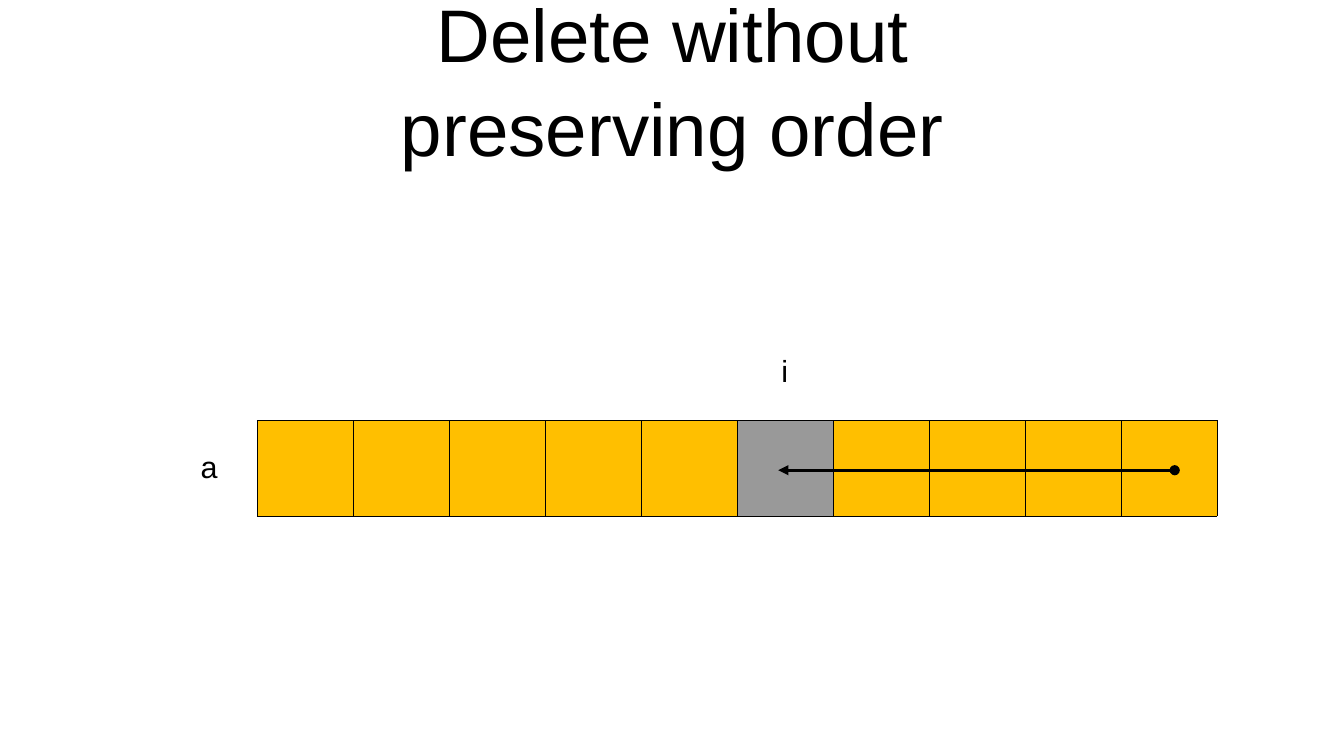
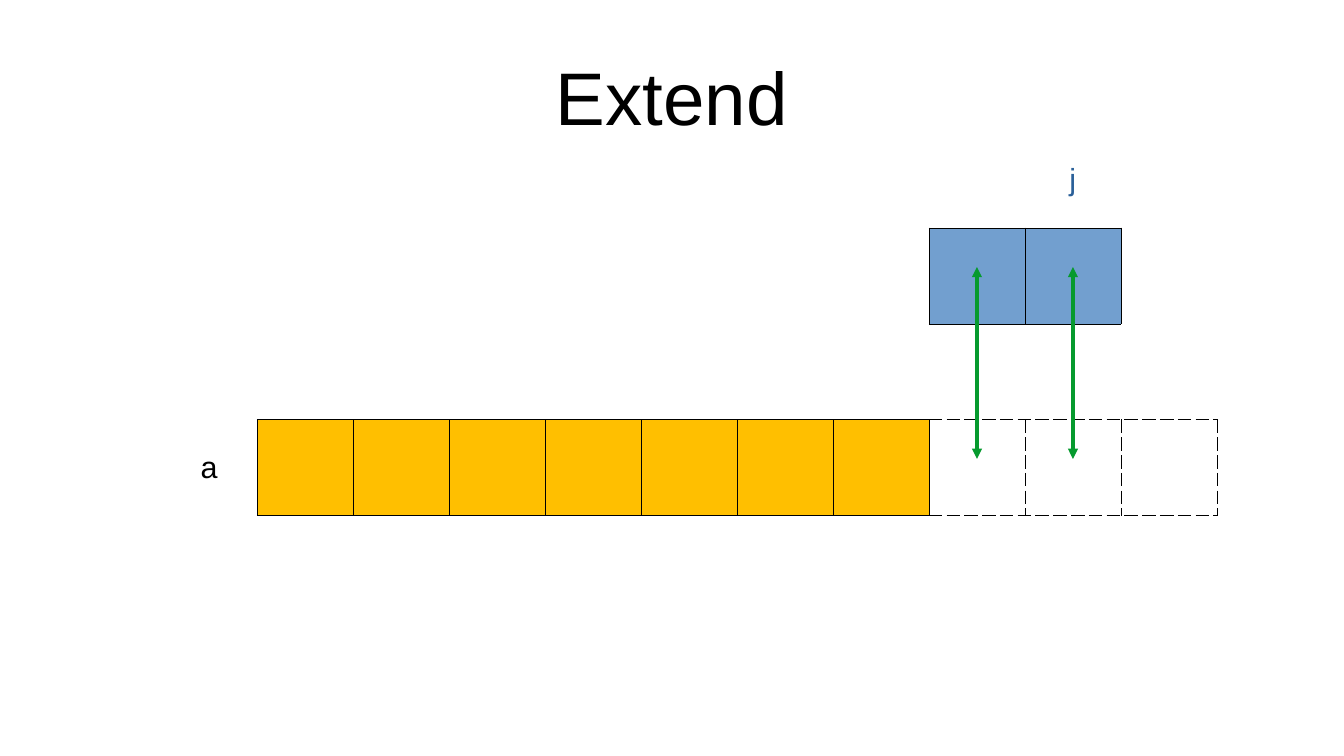
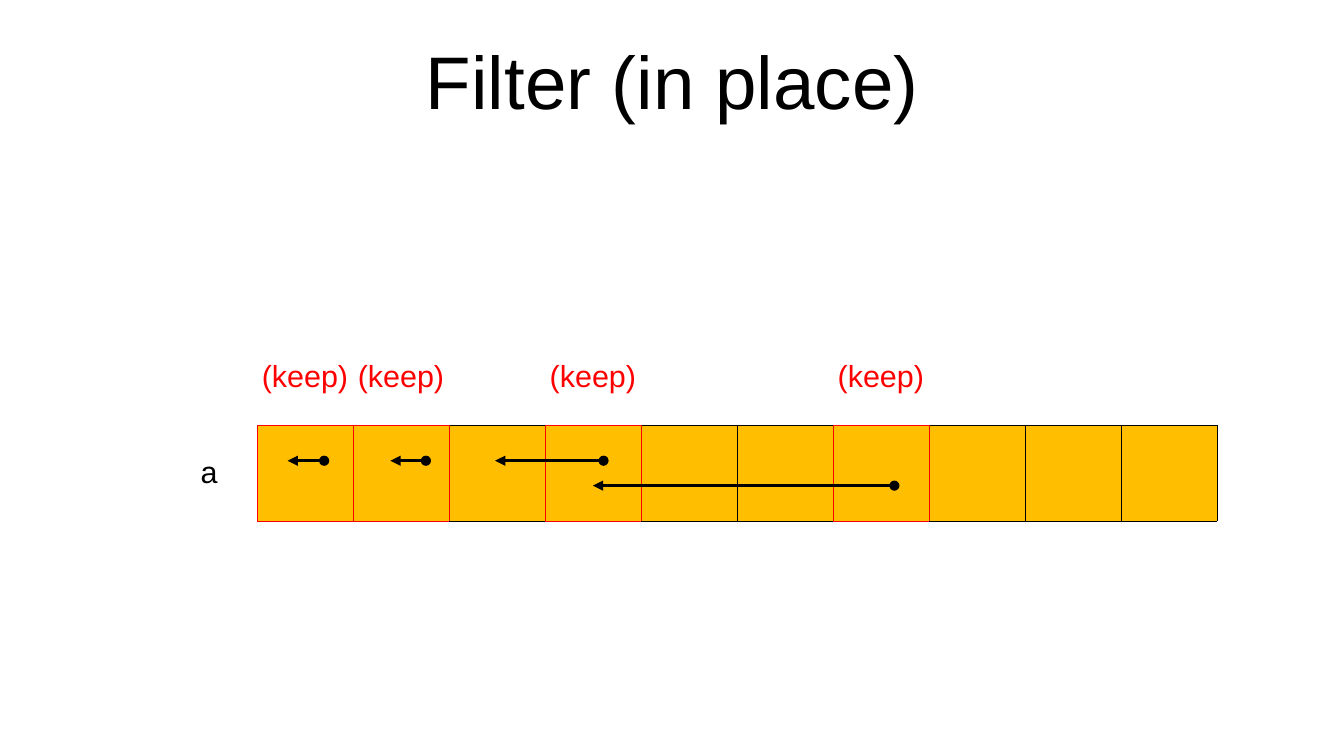
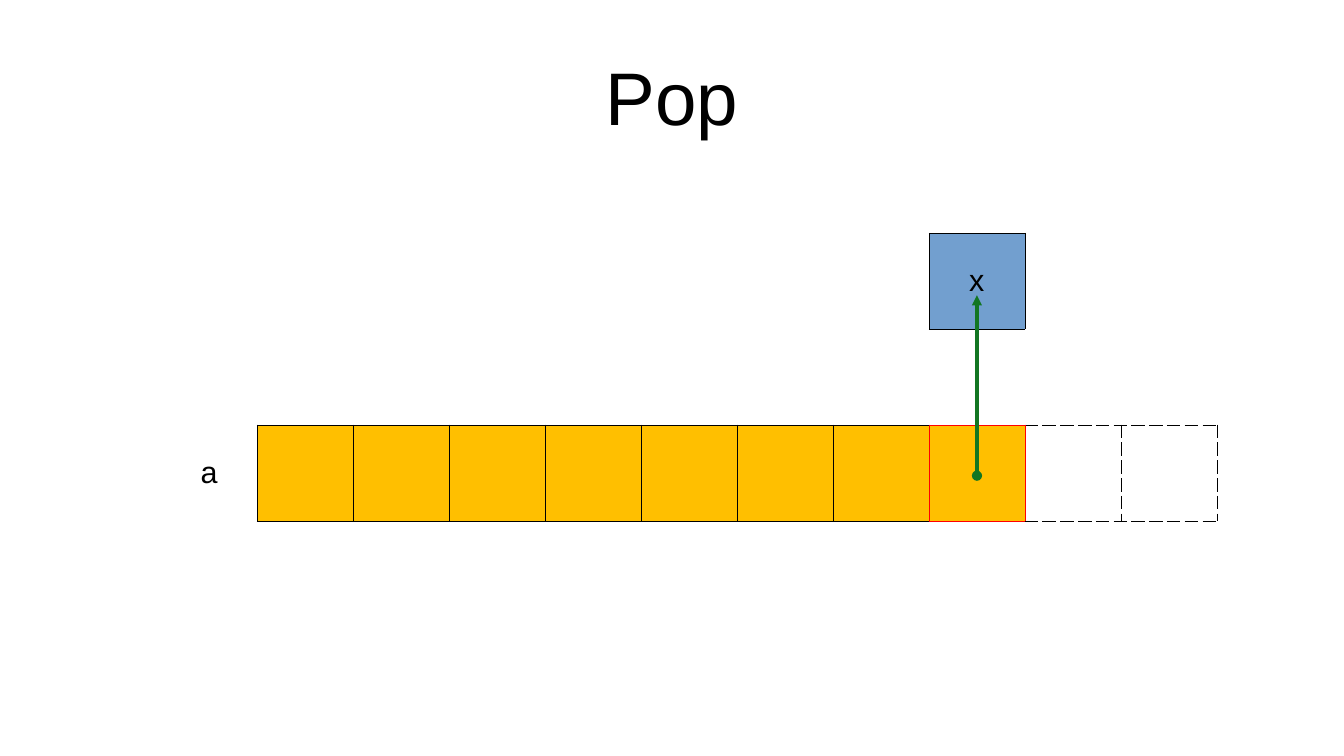
from lxml.etree import SubElement
from pptx import Presentation
from pptx.dml.color import RGBColor
from pptx.enum.shapes import MSO_CONNECTOR
from pptx.enum.text import MSO_ANCHOR, PP_ALIGN
from pptx.oxml.ns import qn
from pptx.util import Inches, Pt


class Theme:
    font = "Arial"
    title_size, label_size = 44, 18
    black, red, blue_text = "000000", "FF0000", "2A6099"
    amber, grey, blue = "FFBF00", "999999", "729FCF"
    green, dark_green = "069A2E", "127622"
    no_grid_style = "{2D5ABB26-0587-4C30-8999-92F81FD0307C}"


# Grid: the slide is 14 columns wide, and array cells are square
WIDTH, HEIGHT = Inches(11.02), Inches(6.2)
COLUMNS = 11
CELL = WIDTH // 14
GRID_LEFT = Inches(1.32)

# Pens: colour, width in points, dash
SOLID = (Theme.black, 0.06, "solid")
DASHED = (Theme.black, 0.06, "dash")
THIN_RED = (Theme.red, 0.11, "solid")
THICK_RED = (Theme.red, 0.28, "solid")

# Cell kinds: fill, then the pen of each drawn side
CELL_KINDS = {
    ".": (None, {}),
    "#": (Theme.amber, dict.fromkeys("LRTB", SOLID)),
    "[": (Theme.amber, dict.fromkeys("LTB", SOLID)),
    "]": (Theme.amber, dict.fromkeys("RTB", SOLID)),
    "=": (Theme.amber, dict.fromkeys("TB", SOLID)),
    "g": (Theme.grey, dict.fromkeys("TB", SOLID)),
    "|": (None, {"R": SOLID}),
    "b": (Theme.blue, dict.fromkeys("RTB", SOLID)),
    "x": (Theme.blue, dict.fromkeys("LRTB", SOLID)),
    "o": (None, dict.fromkeys("LRTB", DASHED)),
    "d": (None, dict.fromkeys("RTB", DASHED)),
    "s": (None, {"L": SOLID} | dict.fromkeys("RTB", DASHED)),
    "k": (Theme.amber, dict.fromkeys("LRTB", THICK_RED)),
    "p": (Theme.amber, {"R": THICK_RED} | dict.fromkeys("LTB", THIN_RED)),
    "q": (Theme.amber, {"L": THICK_RED} | dict.fromkeys("RTB", THIN_RED)),
}

# Slides: title boxes in inches; labels by (row, column);
# arrows as x, y, x, y in cells from the corner of the grid
WIDE_TITLE = (0.55, 0.25, 9.92, 1.04)
SLIDES = [
    dict(
        title="Delete without preserving order", title_box=(2.6, -0.05, 5.83, 1.37),
        top=2.66, rows=["." * COLUMNS, ".#####g[###"],
        labels={(0, 6): ("i", Theme.black)},
        arrows=[(10.56, 1.52, 6.43, 1.52)],
        ends=("oval", "triangle"), arrow_color=Theme.black,
    ),
    dict(
        title="Extend", title_box=WIDE_TITLE,
        top=1.08, rows=["." * COLUMNS, ".......|bb.", "." * COLUMNS, ".#####][soo"],
        labels={(0, 9): ("j", Theme.blue_text)},
        arrows=[(column, 1.41, column, 3.41) for column in (8.5, 9.5)],
        ends=("triangle", "triangle"), arrow_color=Theme.green,
    ),
    dict(
        title="Filter (in place)", title_box=(2.6, 0.24, 5.83, 0.79),
        top=2.7, rows=["." * COLUMNS, ".pq=k]=k]#]"],
        labels={(0, column): ("(keep)", Theme.red) for column in (1, 2, 4, 7)},
        arrows=[(4.61, 1.37, 3.48, 1.37), (7.64, 1.63, 4.5, 1.63),
                (2.76, 1.37, 2.39, 1.37), (1.7, 1.37, 1.32, 1.37)],
        ends=("oval", "triangle"), arrow_color=Theme.black,
    ),
    dict(
        title="Pop", title_box=WIDE_TITLE,
        top=1.91, rows=["........x..", "." * COLUMNS, ".#####][kdo"],
        labels={(0, 8): ("x", Theme.black)},
        arrows=[(8.5, 0.65, 8.5, 2.53)],
        ends=("triangle", "oval"), arrow_color=Theme.dark_green,
    ),
]


def write_text(frame, text, size=Theme.label_size, color=Theme.black, spacing=None):
    para = frame.paragraphs[0]
    para.alignment = PP_ALIGN.CENTER
    para.line_spacing = spacing
    span = para.add_run()
    span.text = text
    span.font.name = Theme.font
    span.font.size = Pt(size)
    span.font.color.rgb = RGBColor.from_string(color)


def draw_borders(cell, pens):
    properties = cell._tc.get_or_add_tcPr()
    for side in "LRTB":
        border = SubElement(properties, qn(f"a:ln{side}"))
        if side not in pens:
            SubElement(border, qn("a:noFill"))
            continue
        color, width, dash = pens[side]
        border.set("w", str(Pt(width)))
        fill = SubElement(border, qn("a:solidFill"))
        SubElement(fill, qn("a:srgbClr"), val=color)
        SubElement(border, qn("a:prstDash"), val=dash)


deck = Presentation()
deck.slide_width, deck.slide_height = WIDTH, HEIGHT

for content in SLIDES:
    page = deck.slides.add_slide(deck.slide_layouts[6])
    rows = content["rows"]
    grid_top = Inches(content["top"])

    # Array table
    table = page.shapes.add_table(
        len(rows), COLUMNS, GRID_LEFT, grid_top, COLUMNS * CELL, len(rows) * CELL
    ).table
    table.first_row = table.horz_banding = False
    table._tbl.tblPr.find(qn("a:tableStyleId")).text = Theme.no_grid_style
    for line in (*table.columns, *table.rows):
        if line in table.columns:
            line.width = CELL
        else:
            line.height = CELL
    labels = content["labels"] | {(len(rows) - 1, 0): ("a", Theme.black)}
    for row, kinds in enumerate(rows):
        for column, kind in enumerate(kinds):
            cell = table.cell(row, column)
            fill_color, pens = CELL_KINDS[kind]
            draw_borders(cell, pens)
            if fill_color:
                cell.fill.solid()
                cell.fill.fore_color.rgb = RGBColor.from_string(fill_color)
            else:
                cell.fill.background()
            if (row, column) in labels:
                text, color = labels[row, column]
                cell.vertical_anchor = MSO_ANCHOR.MIDDLE
                cell.margin_left = cell.margin_right = Inches(0.02)
                write_text(cell.text_frame, text, color=color)

    # Title
    box = page.shapes.add_textbox(*map(Inches, content["title_box"]))
    frame = box.text_frame
    frame.word_wrap = True
    frame.vertical_anchor = MSO_ANCHOR.MIDDLE
    frame.margin_left = frame.margin_right = frame.margin_top = frame.margin_bottom = 0
    write_text(frame, content["title"], size=Theme.title_size, spacing=1.05)

    # Arrows
    for start_x, start_y, end_x, end_y in content["arrows"]:
        arrow = page.shapes.add_connector(
            MSO_CONNECTOR.STRAIGHT,
            GRID_LEFT + round(start_x * CELL), grid_top + round(start_y * CELL),
            GRID_LEFT + round(end_x * CELL), grid_top + round(end_y * CELL),
        )
        arrow.line.width = 0
        arrow.line.color.rgb = RGBColor.from_string(content["arrow_color"])
        outline = arrow.line._get_or_add_ln()
        for tag, end in zip(("a:headEnd", "a:tailEnd"), content["ends"]):
            SubElement(outline, qn(tag), type=end)
        SubElement(arrow._element.spPr, qn("a:effectLst"))

deck.save("out.pptx")
